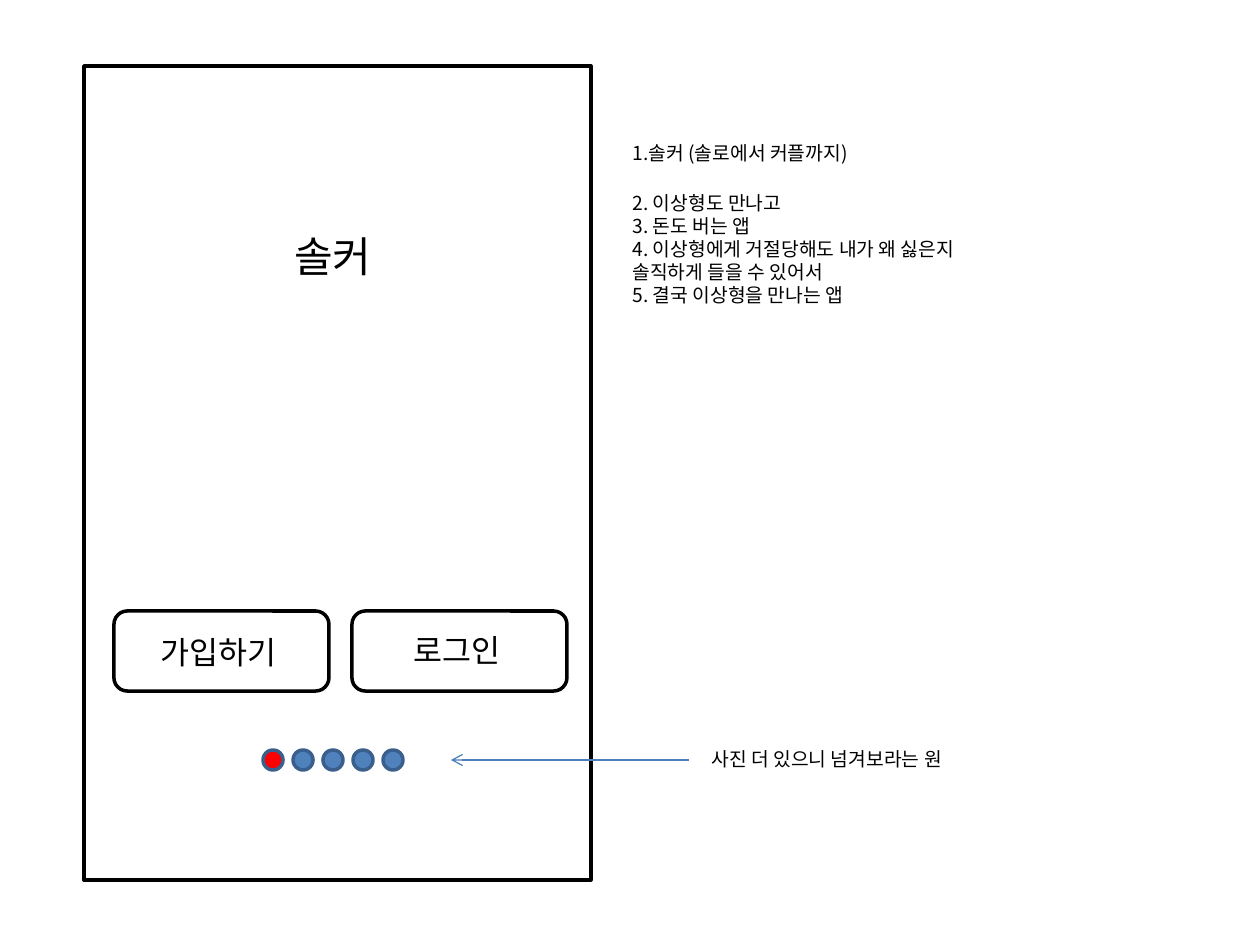
from lxml import etree
from pptx import Presentation
from pptx.dml.color import RGBColor
from pptx.enum.shapes import MSO_CONNECTOR as Link, MSO_SHAPE as Kind
from pptx.enum.text import MSO_AUTO_SIZE as Fit
from pptx.oxml.ns import qn
from pptx.util import Emu, Pt

FONT = "Noto Sans CJK KR"
BLACK, BLUE, RED = "000000", "4F81BD", "FF0000"
HANG = 48


def px(n):
    return Emu(round(n * 914400 / 126))


def paint(color, tone):
    color.rgb = RGBColor.from_string(tone)


def add_shape(slide, kind, box, line, fill=None):
    shape = slide.shapes.add_shape(kind, *map(px, box))
    shape.shadow.inherit = False
    if fill:
        shape.fill.solid()
        paint(shape.fill.fore_color, fill)
    else:
        shape.fill.background()
    paint(shape.line.color, line)
    shape.line.width = Pt(2)


def add_text(slide, box, lines, size, hang=0):
    frame = slide.shapes.add_textbox(*map(px, box)).text_frame
    frame.word_wrap = False
    frame.auto_size = Fit.SHAPE_TO_FIT_TEXT
    frame.text = "\n".join(lines)
    for para in frame.paragraphs:
        if hang:
            props = para._p.get_or_add_pPr()
            props.set("marL", str(px(hang)))
            props.set("indent", str(-px(hang)))
        for run in para.runs:
            run.font.name = FONT
            run.font.size = Pt(size)
            paint(run.font.color, BLACK)
            east = etree.SubElement(run.font._element, qn("a:ea"))
            east.set("typeface", FONT)


def add_arrow(slide, start, end):
    line = slide.shapes.add_connector(Link.STRAIGHT, *map(px, start + end))
    paint(line.line.color, "4B7EBC")
    line.line.width = Pt(0.75)
    tip = etree.SubElement(line.line._get_or_add_ln(), qn("a:tailEnd"))
    tip.set("type", "arrow")
    etree.SubElement(line._element.spPr, qn("a:effectLst"))


def add_dots(slide, left, top, count):
    """Page dots, with the first one current."""
    for i in range(count):
        box = (left + i * 30, top, 20, 20)
        add_shape(slide, Kind.OVAL, box, "3A5F8C", BLUE if i else RED)


def add_phone(slide, left, top, width, height):
    add_shape(slide, Kind.RECTANGLE, (left, top, width, height), BLACK)
    add_text(slide, (left + 198, top + 158, 111, 63), ["솔커"], 24)
    buttons = [("가입하기", 30, 34, 561, 152), ("로그인", 268, 49, 559, 121)]
    for label, x, inset, y, wide in buttons:
        add_text(slide, (left + x + inset, top + y, wide, 50), [label], 18)
        add_shape(slide, Kind.ROUNDED_RECTANGLE,
                  (left + x, top + 545, 215, 80), BLACK)
    add_dots(slide, left + 179, top + 684, 5)


def add_notes(slide, left, top):
    """Numbered notes on what the app is for."""
    add_text(slide, (left, top, 261, 37), ["1.솔커 (솔로에서 커플까지)"], 11, HANG)
    add_text(slide, (left, top + 50, 386, 130), [
        "2. 이상형도 만나고",
        "3. 돈도 버는 앱",
        "4. 이상형에게 거절당해도 내가 왜 싫은지",
        "솔직하게 들을 수 있어서",
        "5. 결국 이상형을 만나는 앱",
    ], 11, HANG)


def add_callout(slide, left, top):
    add_arrow(slide, (left + 238, top + 19), (left, top + 19))
    add_text(slide, (left + 248, top, 286, 37), ["사진 더 있으니 넘겨보라는 원"], 11)


def main():
    deck = Presentation()
    deck.slide_width, deck.slide_height = px(1260), px(945)
    slide = deck.slides.add_slide(deck.slide_layouts[6])
    add_phone(slide, 84, 66, 507, 814)
    add_callout(slide, 451, 741)
    add_notes(slide, 620, 135)
    deck.save("out.pptx")


if __name__ == "__main__":
    main()
